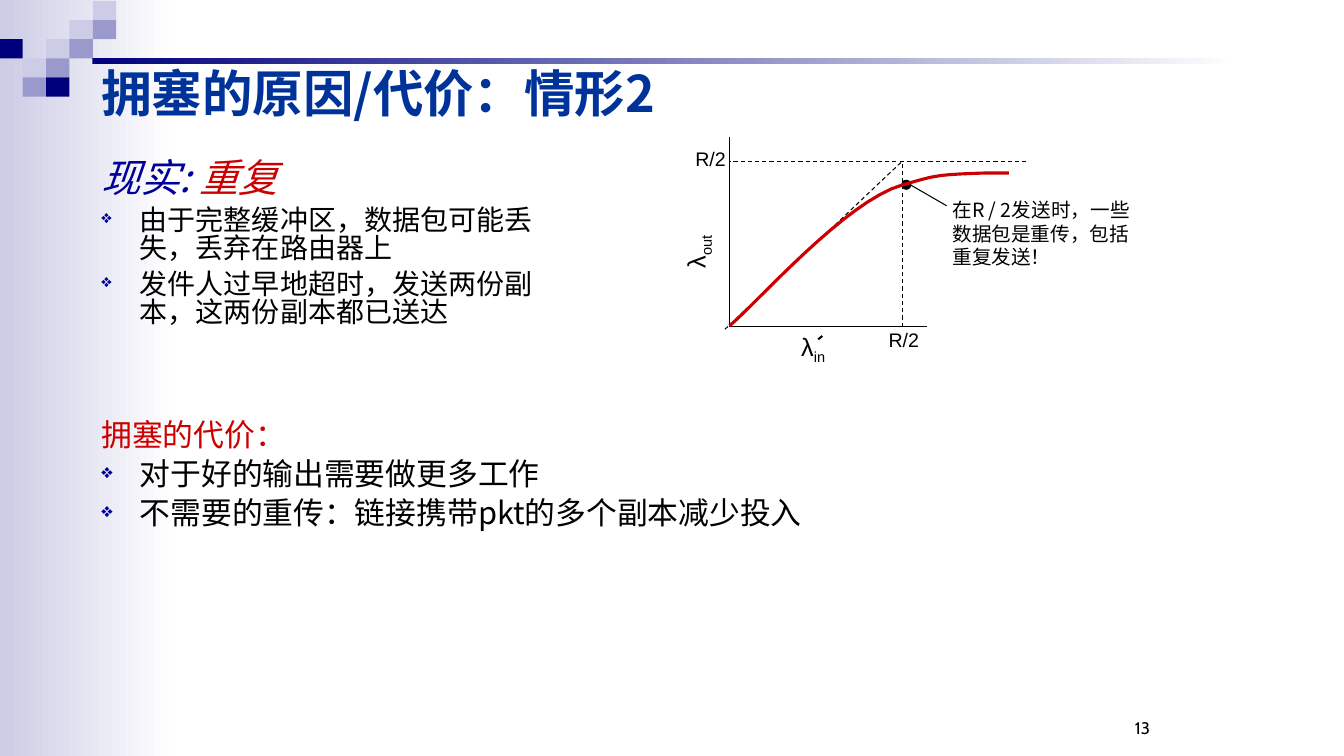
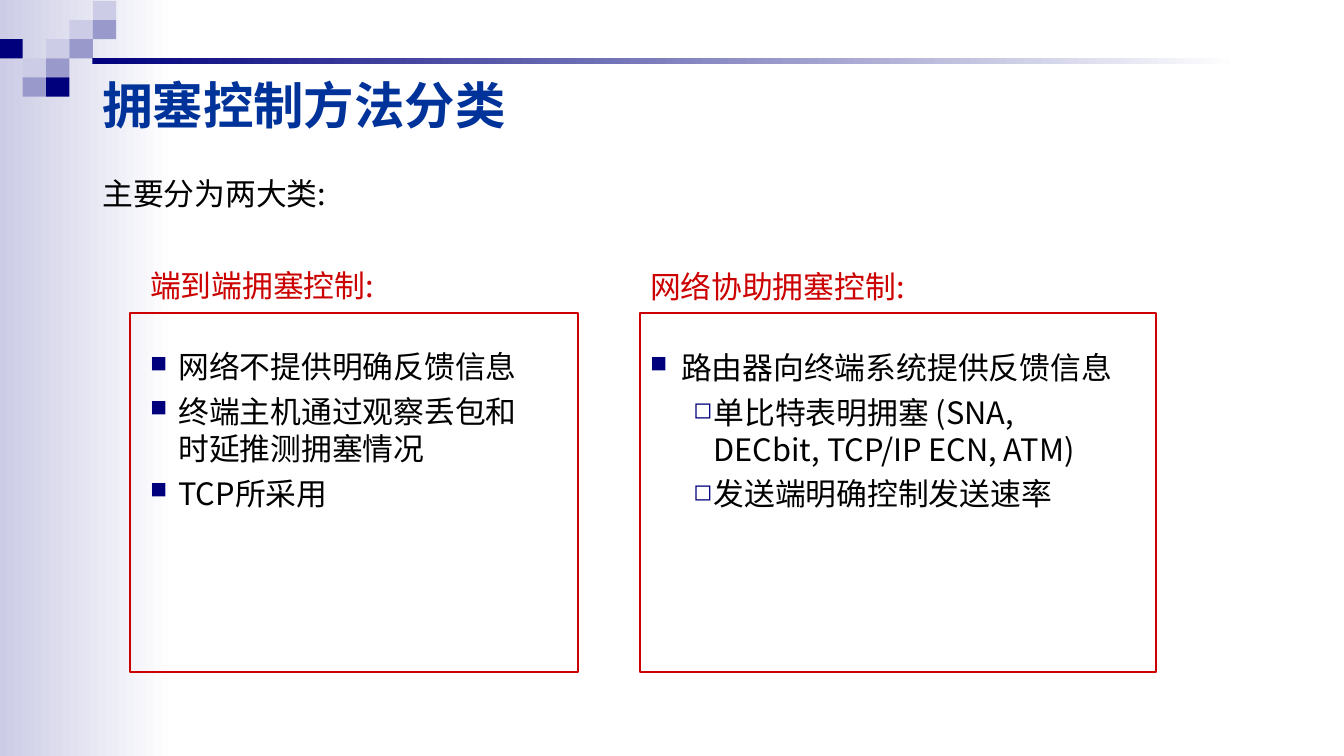
from lxml.etree import SubElement
from pptx import Presentation
from pptx.dml.color import RGBColor
from pptx.enum.dml import MSO_LINE
from pptx.enum.shapes import MSO_CONNECTOR, MSO_SHAPE
from pptx.enum.text import MSO_ANCHOR, PP_ALIGN
from pptx.oxml.ns import qn
from pptx.util import Inches, Pt

WIDE, HIGH = Inches(13.33), Inches(7.5)
COLS, ROWS = 160, 90

NAVY = RGBColor(0x00, 0x00, 0x7D)
BLUE = RGBColor(0x00, 0x00, 0x99)
TITLE = RGBColor(0x00, 0x33, 0x99)
MID = RGBColor(0x99, 0x99, 0xCC)
PALE = RGBColor(0xCC, 0xCC, 0xE6)
RED = RGBColor(0xCC, 0x00, 0x00)
BLACK = RGBColor(0x00, 0x00, 0x00)
WHITE = RGBColor(0xFF, 0xFF, 0xFF)

HAN, SANS, SERIF, PAGE = "Noto Sans CJK SC", "Arial", "Times New Roman", "Cabin"

# Column, row and colour of each tile in the corner mosaic
TILES = [
    (4, 0, PALE), (3, 1, PALE), (4, 1, MID), (0, 2, NAVY), (2, 2, PALE),
    (3, 2, MID), (1, 3, PALE), (2, 3, MID), (1, 4, MID), (2, 4, NAVY),
]
TILE_W, TILE_H = 2.79, 2.28

# Bullet styles: sign, colour, size in percent
GEM = ("❖", BLUE, 65)
BLOCK = ("■", NAVY, 75)
HOLLOW = ("◻", NAVY, 75)


def col(n):
    return round(WIDE * n / COLS)


def row(n):
    return round(HIGH * n / ROWS)


def area(x, y, w, h):
    return col(x), row(y), col(w), row(h)


def shape(slide, box, fill=None, line=None, kind=MSO_SHAPE.RECTANGLE):
    item = slide.shapes.add_shape(kind, *area(*box))
    item.shadow.inherit = False
    if fill is None:
        item.fill.background()
    else:
        item.fill.solid()
        item.fill.fore_color.rgb = fill
    if line is None:
        item.line.fill.background()
    else:
        item.line.color.rgb = line
        item.line.width = Pt(1.5)
    return item


def fade(slide, box, tone):
    """Draw a bar that fades from tone to white, left to right."""
    fill = shape(slide, box).fill
    fill.gradient()
    fill.gradient_angle = 0
    for stop, place, hue in zip(fill.gradient_stops, (0, 1), (tone, WHITE)):
        stop.position = place
        stop.color.rgb = hue


def line(slide, start, end, width=0.75, dash=False, arrow=False):
    item = slide.shapes.add_connector(
        MSO_CONNECTOR.STRAIGHT, col(start[0]), row(start[1]), col(end[0]), row(end[1]))
    item.line.color.rgb = BLACK
    item.line.width = Pt(width)
    if dash:
        item.line.dash_style = MSO_LINE.DASH
    if arrow:
        SubElement(item.line._get_or_add_ln(), qn("a:tailEnd"), type="triangle")
    SubElement(item._element.spPr, qn("a:effectLst"))


def write(para, text, size, hue, face=HAN, bold=None, slant=None, base=0):
    run = para.add_run()
    run.text = text
    font = run.font
    font.size, font.bold, font.italic = Pt(size), bold, slant
    font.color.rgb = hue
    font.name = face
    props = run._r.get_or_add_rPr()
    SubElement(props, qn("a:ea"), typeface=HAN)
    if base:
        props.set("baseline", str(base * 1000))


def frame(slide, box, wrap=True, turn=0, anchor=MSO_ANCHOR.TOP):
    item = slide.shapes.add_textbox(*area(*box))
    item.rotation = turn
    body = item.text_frame
    body.word_wrap = wrap
    body.vertical_anchor = anchor
    return body


def label(slide, box, text, size, sub="", face=SANS, wrap=False, turn=0):
    para = frame(slide, box, wrap, turn).paragraphs[0]
    write(para, text, size, BLACK, face)
    if sub:
        write(para, sub, size, BLACK, face, base=-25)


def indent(para, left, hang, mark=None):
    props = para._p.get_or_add_pPr()
    props.set("marL", str(Inches(left)))
    props.set("indent", str(-Inches(hang)))
    if mark:
        sign, hue, size = mark
        tone = SubElement(props, qn("a:buClr"))
        SubElement(tone, qn("a:srgbClr"), val=str(hue))
        SubElement(props, qn("a:buSzPct"), val=str(size * 1000))
        SubElement(props, qn("a:buChar"), char=sign)


def notes(slide, box, head, items, size=22, hang=0.38, mark=GEM, pitch=0.85, gap=0):
    """Write a heading of runs, then items of (level, text) with bullets."""
    body = frame(slide, box)
    first = body.paragraphs[0]
    for text, big, hue, slant in head:
        write(first, text, big, hue, slant=slant)
    indent(first, hang, hang)
    first.space_after = Pt(gap)
    for level, text in items:
        para = body.add_paragraph()
        para.level = level
        write(para, text, size, BLACK)
        if level:
            indent(para, 0.63, 0.2, HOLLOW)
        else:
            indent(para, hang, hang, mark)
    for para in body.paragraphs:
        para.line_spacing = pitch
        para.space_before = Pt(size / 4)


def curve(slide, start, bends):
    """Draw a chain of cubic bends as one red outline."""
    points, here = [], start
    for one, two, end in bends:
        for step in range(1, 17):
            t = step / 16
            u = 1 - t
            points.append(tuple(
                u**3 * a + 3 * u * u * t * b + 3 * u * t * t * c + t**3 * d
                for a, b, c, d in zip(here, one, two, end)))
        here = end
    pen = slide.shapes.build_freeform(col(start[0]), row(start[1]))
    pen.add_line_segments([(col(x), row(y)) for x, y in points], close=False)
    item = pen.convert_to_shape()
    item.shadow.inherit = False
    item.fill.background()
    item.line.color.rgb = RED
    item.line.width = Pt(2.25)


def start(deck, title, box, face=HAN):
    """Add a slide with the shared backdrop and a title."""
    slide = deck.slides.add_slide(deck.slide_layouts[6])
    fade(slide, (0, 0, 20.8, ROWS), PALE)
    for across, down, hue in TILES:
        shape(slide, (across * TILE_W - 0.1, down * TILE_H + 0.1, TILE_W, TILE_H), hue)
    fade(slide, (11, 6.96, 136.5, 0.7), NAVY)
    para = frame(slide, box, anchor=MSO_ANCHOR.MIDDLE).paragraphs[0]
    write(para, title, 36, TITLE, face, bold=True)
    return slide


def plot(slide):
    left, base, knee, top = 86.85, 38.9, 107.4, 19.2
    line(slide, (left, 16.3), (left, base))
    line(slide, (110.4, base), (left, base))
    line(slide, (122.2, top), (left, top), dash=True)
    line(slide, (86.3, 39.2), (knee, top), dash=True)
    line(slide, (knee, base), (knee, top), dash=True)
    shape(slide, (107.3, 21.4, 1.2, 1.2), BLACK, kind=MSO_SHAPE.OVAL)
    line(slide, (112.7, 24.5), (107.5, 21.5), arrow=True)
    curve(slide, (left, 38.8), [
        ((90.2, 36), (100.7, 23.9), (107.5, 22)),
        ((111.2, 21), (110.9, 20.8), (117.4, 20.6)),
        ((120, 20.6), (119.5, 20.6), (120.1, 20.6)),
    ])
    for x, y in ((81.6, 16.9), (104.6, 38.4)):
        label(slide, (x, y, 6, 4), "R/2", 14)
    label(slide, (78.7, 26.6, 8.2, 4.8), "λ", 18, "out", wrap=True, turn=270)
    label(slide, (94.2, 38.8, 5.6, 4.8), "λ", 18, "in")
    line(slide, (97.4, 40.4), (97.9, 40), 1.5)
    label(slide, (112.2, 23, 24.7, 9.7),
          "在R / 2发送时，一些数据包是重传，包括重复发送！", 14, face=HAN, wrap=True)


def costs(deck):
    slide = start(deck, "拥塞的原因/代价：情形2", (10.9, 5.3, 102, 11.4))
    plot(slide)
    notes(slide, (10.9, 18.5, 56.5, 25.2),
          [("现实: ", 28, BLUE, True), ("重复", 28, RED, True)],
          [(0, "由于完整缓冲区，数据包可能丢失，丢弃在路由器上"),
           (0, "发件人过早地超时，发送两份副本，这两份副本都已送达")], size=20)
    notes(slide, (10.9, 49.6, 106.9, 13), [("拥塞的代价：", 22, RED, None)],
          [(0, "对于好的输出需要做更多工作"),
           (0, "不需要的重传：链接携带pkt的多个副本减少投入")])
    para = frame(slide, (129.2, 84.8, 8.9, 3.6), anchor=MSO_ANCHOR.BOTTOM).paragraphs[0]
    para.alignment = PP_ALIGN.RIGHT
    write(para, "13", 12, BLACK, PAGE)


def kinds(deck):
    slide = start(deck, "拥塞控制方法分类", (11, 7.2, 102, 10.4), SERIF)
    notes(slide, (11, 20.9, 107, 7.2), [("主要分为两大类:", 22, BLACK, None)], [])
    panels = [
        ((16.7, 31.2, 49.1, 50), 0.28, (15.5, 53.3), "端到端拥塞控制:",
         [(0, "网络不提供明确反馈信息"),
          (0, "终端主机通过观察丢包和时延推测拥塞情况"),
          (0, "TCP所采用")]),
        ((76.2, 31.3, 58.6, 51.2), 0.31, (76.2, 61.4), "网络协助拥塞控制:",
         [(0, "路由器向终端系统提供反馈信息"),
          (1, "单比特表明拥塞 (SNA, DECbit, TCP/IP ECN, ATM)"),
          (1, "发送端明确控制发送速率")]),
    ]
    for box, hang, (x, wide), head, items in panels:
        notes(slide, box, [(head, 22, RED, None)], items,
              hang=hang, mark=BLOCK, pitch=1, gap=26)
        shape(slide, (x, 37.3, wide, 42.7), line=RED)


def main():
    deck = Presentation()
    deck.slide_width, deck.slide_height = WIDE, HIGH
    costs(deck)
    kinds(deck)
    deck.save("out.pptx")


if __name__ == "__main__":
    main()
